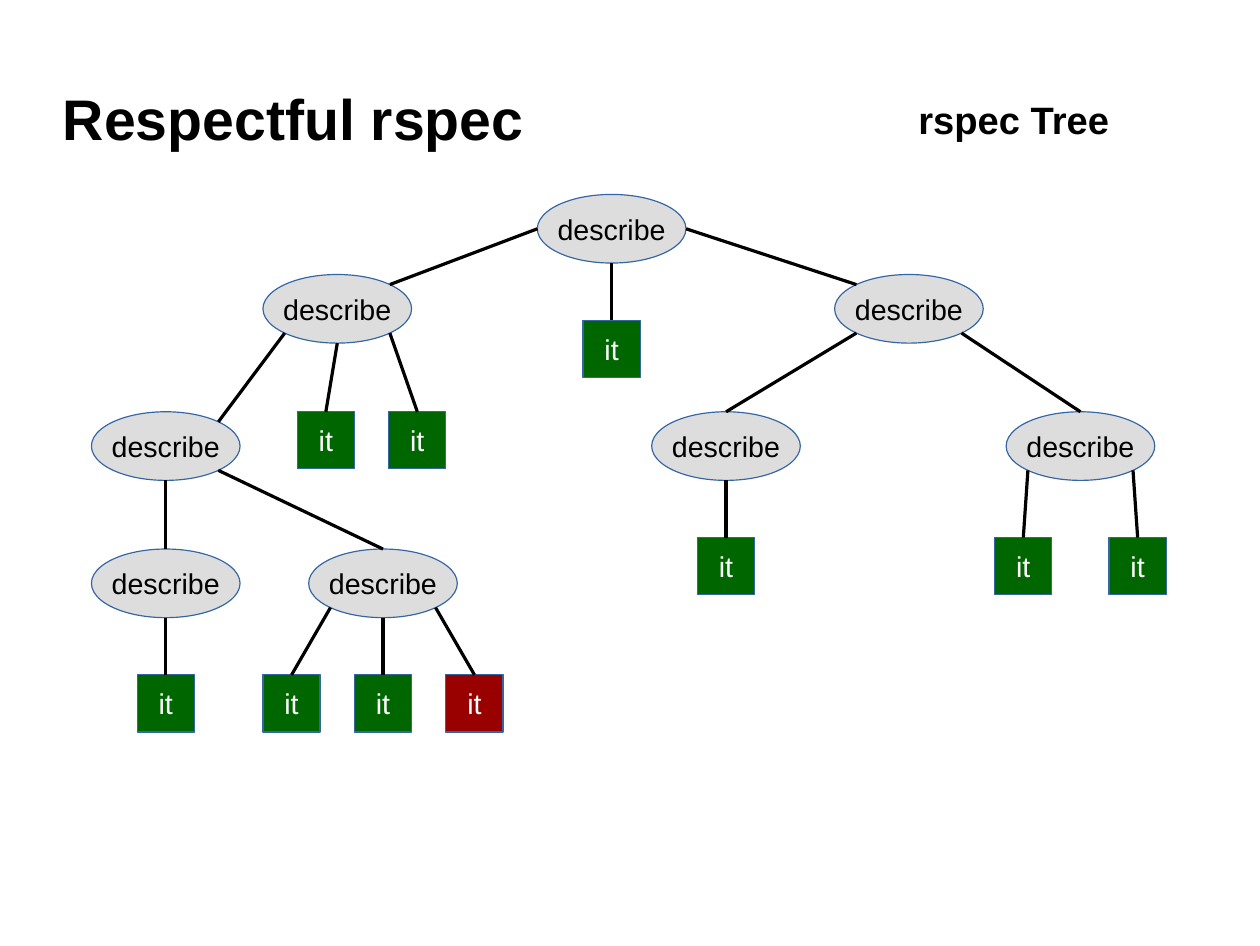
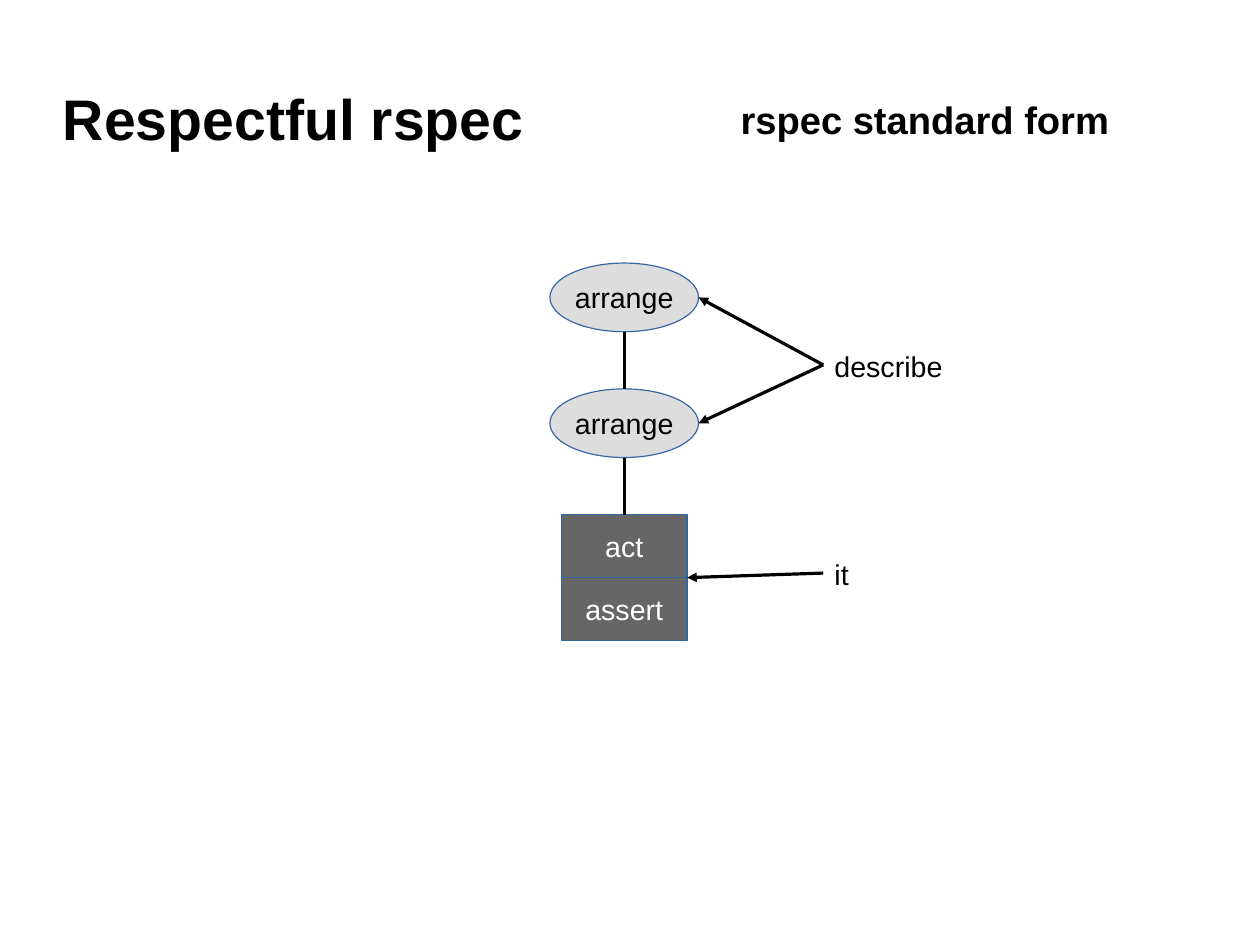
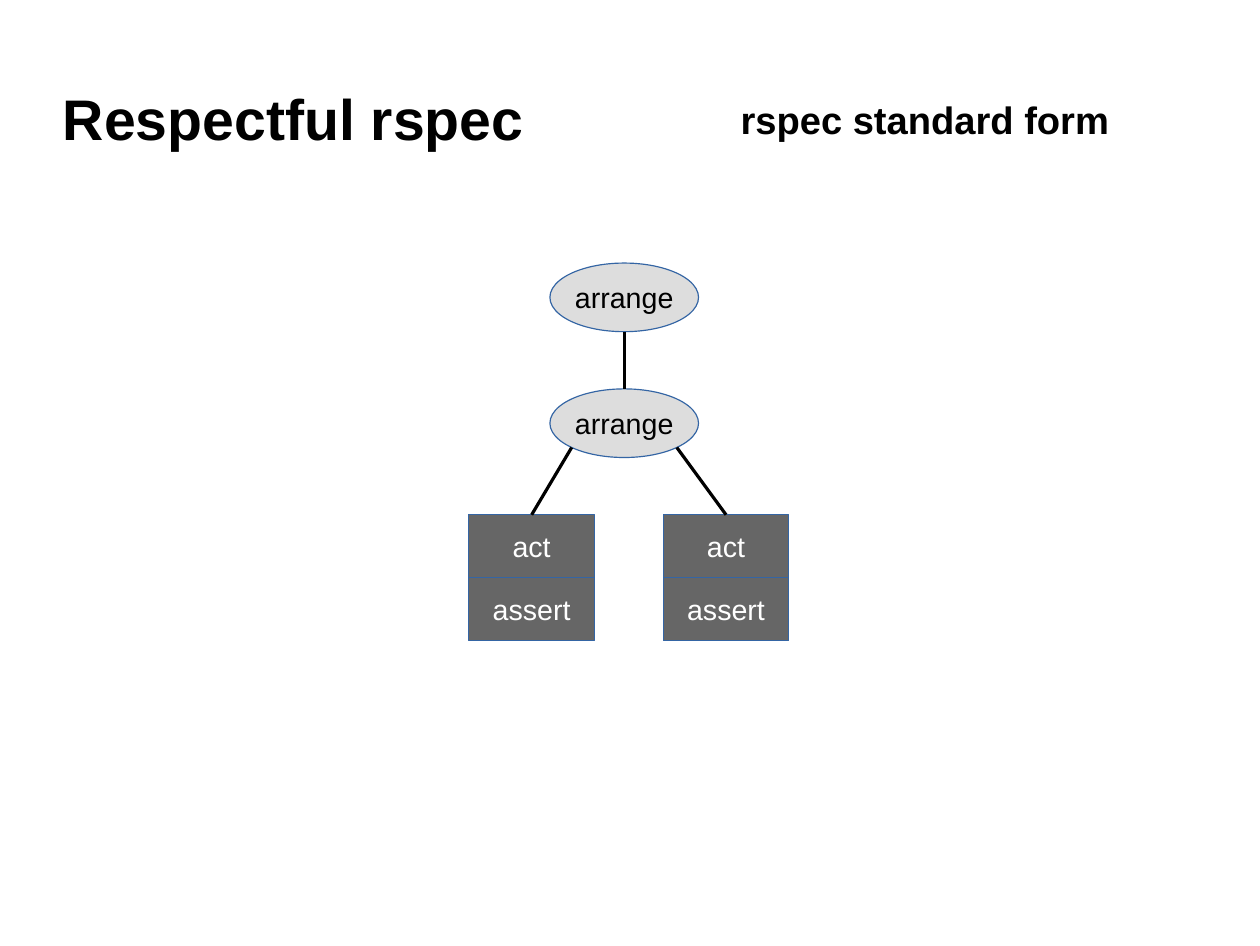
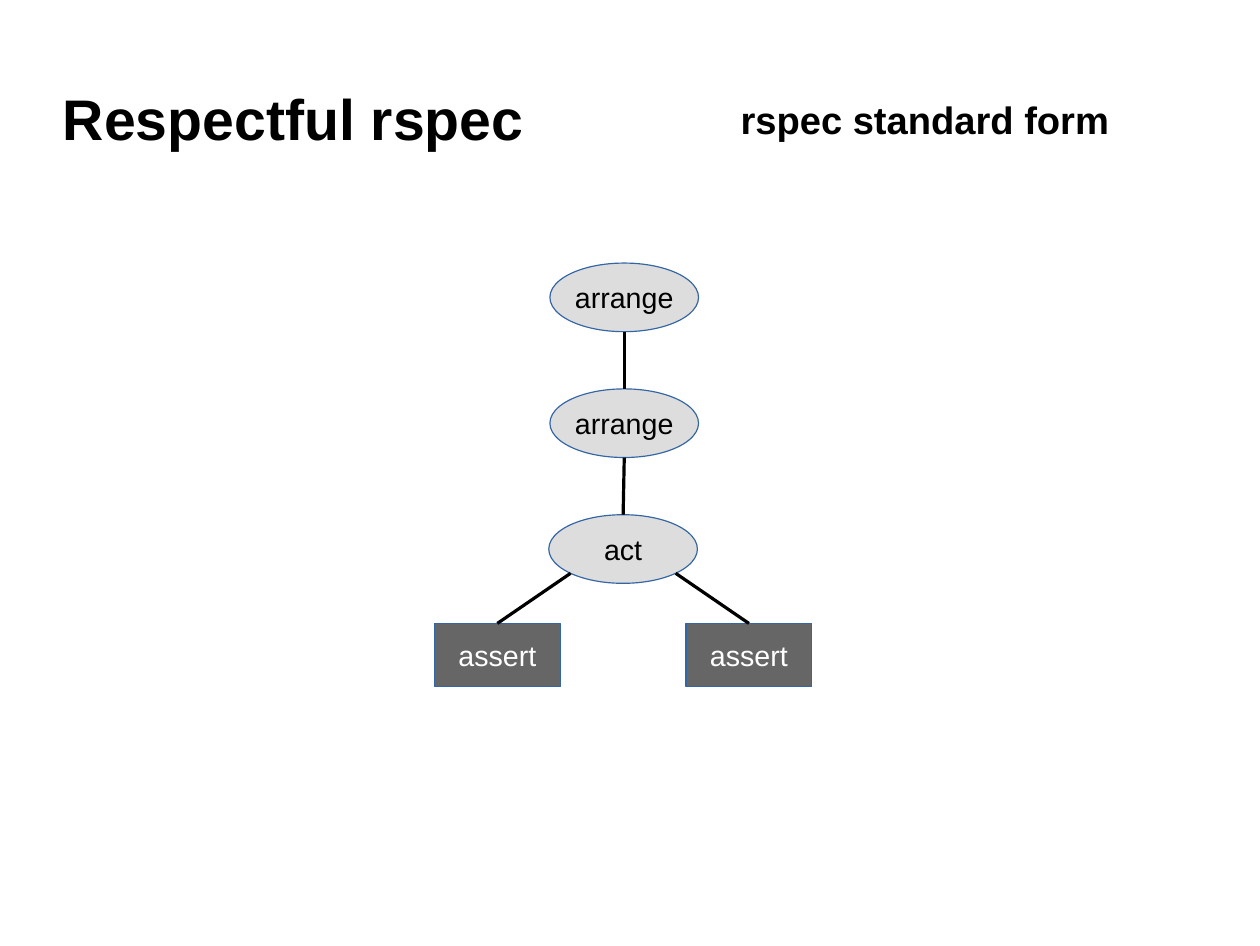
import dataclasses
import enum
import math

import lxml.etree
import pptx
import pptx.dml.color
import pptx.enum.shapes
import pptx.enum.text
import pptx.oxml.ns
import pptx.presentation
import pptx.shapes.autoshape
import pptx.shapes.base
import pptx.slide
import pptx.util

RGBColor = pptx.dml.color.RGBColor
Preset = pptx.enum.shapes.MSO_SHAPE
Align = pptx.enum.text.PP_ALIGN
Anchor = pptx.enum.text.MSO_ANCHOR
qn = pptx.oxml.ns.qn

BLACK = RGBColor(0x00, 0x00, 0x00)
WHITE = RGBColor(0xFF, 0xFF, 0xFF)
LIGHT_GREY = RGBColor(0xDD, 0xDD, 0xDD)
DARK_GREY = RGBColor(0x66, 0x66, 0x66)
GREEN = RGBColor(0x00, 0x66, 0x00)
RED = RGBColor(0x99, 0x00, 0x00)
OUTLINE_BLUE = RGBColor(0x34, 0x65, 0xA4)

SLIDE_WIDTH, SLIDE_HEIGHT = 11.02, 8.27
CELL = 0.1
FONT = "Arial"


class Site(enum.Enum):
    TOP = (0, -1)
    TOP_LEFT = (-1, -1)
    LEFT = (-1, 0)
    BOTTOM_LEFT = (-1, 1)
    BOTTOM = (0, 1)
    BOTTOM_RIGHT = (1, 1)
    RIGHT = (1, 0)
    TOP_RIGHT = (1, -1)


ELLIPSE_SITES = list(Site)
RECTANGLE_SITES = [Site.TOP, Site.LEFT, Site.BOTTOM, Site.RIGHT]


@dataclasses.dataclass(frozen=True)
class Style:
    preset: Preset
    columns: float
    rows: float
    fill: RGBColor
    ink: RGBColor


@dataclasses.dataclass(frozen=True)
class Node:
    style: Style
    labels: tuple[str, ...]
    column: float
    row: float
    leaves_parent: Site = Site.BOTTOM
    entry: Site = Site.TOP
    children: tuple["Node", ...] = ()


GROUP = Style(Preset.OVAL, 13, 6, LIGHT_GREY, BLACK)
PASSED = Style(Preset.RECTANGLE, 5, 5, GREEN, WHITE)
FAILED = dataclasses.replace(PASSED, fill=RED)
STEP = Style(Preset.RECTANGLE, 11, 5.5, DARK_GREY, WHITE)


def cells(count: float) -> pptx.util.Length:
    return pptx.util.Inches(count * CELL)


def write(
    shape: pptx.shapes.autoshape.Shape,
    text: str,
    *,
    size: float = 18,
    color: RGBColor = BLACK,
    bold: bool = False,
    align: Align = Align.LEFT,
    anchor: Anchor = Anchor.MIDDLE,
    wrap: bool = True,
    inset: bool = True,
) -> None:
    frame = shape.text_frame
    frame.word_wrap = wrap
    frame.vertical_anchor = anchor
    frame.margin_left = frame.margin_right = cells(1 if inset else 0)
    frame.margin_top = frame.margin_bottom = cells(0.5 if inset else 0)
    paragraph = frame.paragraphs[0]
    paragraph.alignment = align
    run = paragraph.add_run()
    run.text = text
    run.font.name = FONT
    run.font.size = pptx.util.Pt(size)
    run.font.bold = bold
    run.font.color.rgb = color


def add_text(
    slide: pptx.slide.Slide,
    text: str,
    column: float,
    row: float,
    columns: float,
    rows: float,
    **text_format,
) -> pptx.shapes.autoshape.Shape:
    box = slide.shapes.add_textbox(*map(cells, (column, row, columns, rows)))
    write(box, text, **text_format)
    return box


def is_ellipse(shape: pptx.shapes.base.BaseShape) -> bool:
    return (
        shape.shape_type == pptx.enum.shapes.MSO_SHAPE_TYPE.AUTO_SHAPE
        and shape.auto_shape_type == Preset.OVAL
    )


def locate(shape: pptx.shapes.base.BaseShape, site: Site) -> tuple[int, int]:
    across, down = site.value
    diagonal = is_ellipse(shape) and across and down
    reach = math.sqrt(0.5) / 2 if diagonal else 0.5
    return (
        round(shape.left + shape.width * (0.5 + reach * across)),
        round(shape.top + shape.height * (0.5 + reach * down)),
    )


def connect(
    slide: pptx.slide.Slide,
    start: pptx.shapes.base.BaseShape,
    start_site: Site,
    end: pptx.shapes.base.BaseShape,
    end_site: Site,
    *,
    arrow: bool = False,
) -> None:
    connector = slide.shapes.add_connector(
        pptx.enum.shapes.MSO_CONNECTOR.STRAIGHT,
        *locate(start, start_site),
        *locate(end, end_site),
    )
    connector.line.color.rgb = BLACK
    connector.line.width = 0
    properties = connector._element.spPr
    if arrow:
        outline = properties.find(qn("a:ln"))
        lxml.etree.SubElement(outline, qn("a:tailEnd"), type="triangle")
    lxml.etree.SubElement(properties, qn("a:effectLst"))

    glue = next(connector._element.iter(qn("p:cNvCxnSpPr")))
    for tag, shape, site in (
        ("a:stCxn", start, start_site),
        ("a:endCxn", end, end_site),
    ):
        sites = ELLIPSE_SITES if is_ellipse(shape) else RECTANGLE_SITES
        if site in sites:
            lxml.etree.SubElement(
                glue, qn(tag), id=str(shape.shape_id), idx=str(sites.index(site))
            )


def draw_node(slide: pptx.slide.Slide, node: Node) -> pptx.shapes.autoshape.Shape:
    style = node.style
    canvas = slide.shapes
    if len(node.labels) > 1:
        canvas = slide.shapes.add_group_shape().shapes
    drawn = []
    for index, label in enumerate(node.labels):
        row = node.row + index * style.rows
        shape = canvas.add_shape(
            style.preset, *map(cells, (node.column, row, style.columns, style.rows))
        )
        shape.shadow.inherit = False
        shape.fill.solid()
        shape.fill.fore_color.rgb = style.fill
        shape.line.color.rgb = OUTLINE_BLUE
        shape.line.width = 0
        write(shape, label, color=style.ink, align=Align.CENTER, wrap=False)
        drawn.append(shape)
    return drawn[0]


def draw_tree(
    slide: pptx.slide.Slide, node: Node
) -> list[pptx.shapes.autoshape.Shape]:
    parent = draw_node(slide, node)
    drawn = [parent]
    for child in node.children:
        branch = draw_tree(slide, child)
        connect(slide, parent, child.leaves_parent, branch[0], child.entry)
        drawn += branch
    return drawn


def add_slide(
    deck: pptx.presentation.Presentation, subtitle: str
) -> pptx.slide.Slide:
    slide = deck.slides.add_slide(deck.slide_layouts[6])
    add_text(
        slide, "Respectful rspec", 5.5, 6.3, 41.5, 7.9,
        size=36, bold=True, inset=False,
    )
    add_text(
        slide, subtitle, 58, 6.5, 39, 7.9,
        size=24, bold=True, align=Align.RIGHT, inset=False,
    )
    return slide


def describe(column: float, row: float, *children: Node, **sites: Site) -> Node:
    return Node(GROUP, ("describe",), column, row, children=children, **sites)


def it(
    column: float,
    row: float,
    leaves_parent: Site = Site.BOTTOM,
    style: Style = PASSED,
) -> Node:
    return Node(style, ("it",), column, row, leaves_parent)


def arrange_twice(*children: Node) -> Node:
    inner = Node(GROUP, ("arrange",), 48.1, 34, children=children)
    return Node(GROUP, ("arrange",), 48.1, 23, children=(inner,))


def act_and_assert(column: float, leaves_parent: Site = Site.BOTTOM) -> Node:
    return Node(STEP, ("act", "assert"), column, 45, leaves_parent)


def rspec_tree() -> Node:
    left_branch = describe(
        23, 24,
        describe(
            8, 36,
            describe(8, 48, it(12, 59)),
            describe(
                27, 48,
                it(23, 59, Site.BOTTOM_LEFT),
                it(31, 59),
                it(39, 59, Site.BOTTOM_RIGHT, FAILED),
                leaves_parent=Site.BOTTOM_RIGHT,
            ),
            leaves_parent=Site.BOTTOM_LEFT,
            entry=Site.TOP_RIGHT,
        ),
        it(26, 36),
        it(34, 36, Site.BOTTOM_RIGHT),
        leaves_parent=Site.LEFT,
        entry=Site.TOP_RIGHT,
    )
    right_branch = describe(
        73, 24,
        describe(57, 36, it(61, 47), leaves_parent=Site.BOTTOM_LEFT),
        describe(
            88, 36,
            it(87, 47, Site.BOTTOM_LEFT),
            it(97, 47, Site.BOTTOM_RIGHT),
            leaves_parent=Site.BOTTOM_RIGHT,
        ),
        leaves_parent=Site.RIGHT,
        entry=Site.TOP_LEFT,
    )
    return describe(47, 17, left_branch, it(51, 28), right_branch)


def add_labelled_form(slide: pptx.slide.Slide) -> None:
    outer, inner, act = draw_tree(slide, arrange_twice(act_and_assert(49.1)))
    for text, row, targets in (
        ("describe", 30, ((outer, Site.RIGHT), (inner, Site.RIGHT))),
        ("it", 48.2, ((act, Site.BOTTOM_RIGHT),)),
    ):
        label = add_text(slide, text, 72, row, 12, 3.8, anchor=Anchor.TOP)
        for target, site in targets:
            connect(slide, label, Site.LEFT, target, site, arrow=True)


def main() -> None:
    deck = pptx.Presentation()
    deck.slide_width = pptx.util.Inches(SLIDE_WIDTH)
    deck.slide_height = pptx.util.Inches(SLIDE_HEIGHT)

    draw_tree(add_slide(deck, "rspec Tree"), rspec_tree())

    standard_form = "rspec standard form"
    add_labelled_form(add_slide(deck, standard_form))

    two_acts = arrange_twice(
        act_and_assert(41, Site.BOTTOM_LEFT),
        act_and_assert(58, Site.BOTTOM_RIGHT),
    )
    draw_tree(add_slide(deck, standard_form), two_acts)

    asserts = (
        Node(STEP, ("assert",), 38, 54.5, Site.BOTTOM_LEFT),
        Node(STEP, ("assert",), 60, 54.5, Site.BOTTOM_RIGHT),
    )
    shared_act = arrange_twice(Node(GROUP, ("act",), 48, 45, children=asserts))
    draw_tree(add_slide(deck, standard_form), shared_act)

    deck.save("out.pptx")


if __name__ == "__main__":
    main()
